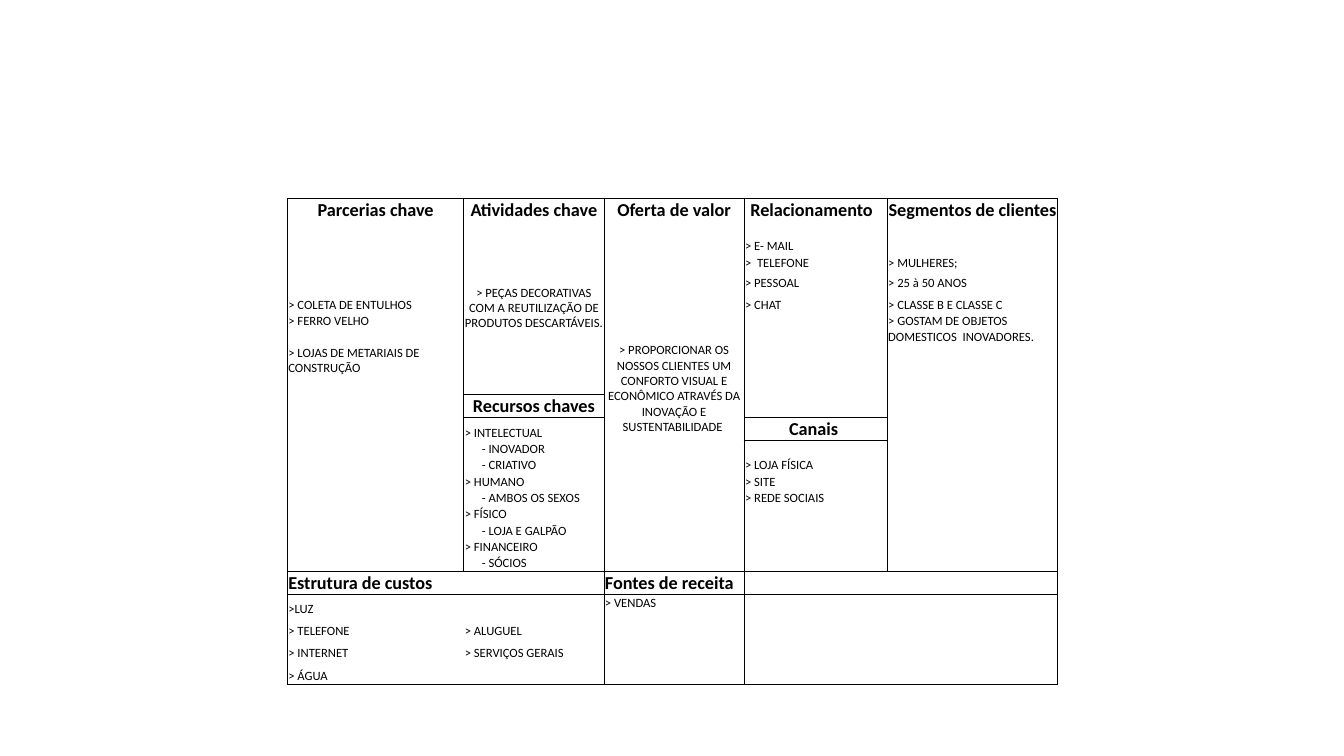
import pptx
import pptx.util
import pptx.dml.color
import pptx.enum.text
import lxml.etree

Inches, Pt = pptx.util.Inches, pptx.util.Pt
ALIGN, ANCHOR = pptx.enum.text.PP_ALIGN, pptx.enum.text.MSO_ANCHOR
COLORS = {"ink": "000000"}
FONT = "Calibri"
NO_GRID = "{2D5ABB26-0587-4C30-8999-92F81FD0307C}"

prs = pptx.Presentation()
prs.slide_width, prs.slide_height = Inches(13.33), Inches(7.5)
s = prs.slides.add_slide(prs.slide_layouts[6])

# Grid of the canvas, in inches
cols = [1.75, 1.39, 1.39, 1.42, 1.69]
rows = [0.23, 0.16, 0.16, 0.2, 0.22, 0.16, 0.29, 0.33, 0.16, 0.23, 0.22] + [0.16] * 8 + [0.22] * 4 + [0.23]

# Blocks: first row, first column, last row, last column
blocks = [(0, 0, 18, 0), (0, 1, 8, 1), (9, 1, 18, 1), (0, 2, 18, 2), (0, 3, 9, 3),
          (10, 3, 18, 3), (0, 4, 18, 4), (19, 0, 23, 1), (19, 2, 23, 4)]

headings = {
    (0, 0): "Parcerias chave", (0, 1): "Atividades chave", (0, 2): "Oferta de valor",
    (0, 3): "Relacionamento  ", (0, 4): "Segmentos de clientes", (9, 1): "Recursos chaves",
    (10, 3): "Canais ", (19, 0): "Estrutura de custos", (19, 2): "Fontes de receita",
}

# Merged cells: start -> last row and text
merged = {
    (1, 1): (8, "> PEÇAS DECORATIVAS COM A REUTILIZAÇÃO DE PRODUTOS DESCARTÁVEIS."),
    (1, 2): (17, "> PROPORCIONAR OS NOSSOS CLIENTES UM CONFORTO VISUAL E ECONÔMICO "
                 "ATRAVÉS DA INOVAÇÃO E SUSTENTABILIDADE "),
}

# Lists: start cell -> one entry per row downwards
lists = {
    (5, 0): ["> COLETA DE ENTULHOS", "> FERRO VELHO", "> LOJAS DE METARIAIS DE CONSTRUÇÃO"],
    (10, 1): ["> INTELECTUAL", "      - INOVADOR", "      - CRIATIVO", "> HUMANO",
              "      - AMBOS OS SEXOS", "> FÍSICO", "      - LOJA E GALPÃO",
              "> FINANCEIRO", "      - SÓCIOS"],
    (2, 3): ["> E- MAIL", ">  TELEFONE", "> PESSOAL", "> CHAT"],
    (12, 3): ["> LOJA FÍSICA", "> SITE", "> REDE SOCIAIS"],
    (3, 4): ["> MULHERES;", "> 25 à 50 ANOS", "> CLASSE B E CLASSE C",
             "> GOSTAM DE OBJETOS DOMESTICOS  INOVADORES."],
    (20, 0): [">LUZ", "> TELEFONE ", "> INTERNET", "> ÁGUA"],
    (21, 1): ["> ALUGUEL ", "> SERVIÇOS GERAIS"],
    (20, 2): ["> VENDAS"],
}
items = {(r + i, c): t for (r, c), ts in lists.items() for i, t in enumerate(ts)}

# Table
frame = s.shapes.add_table(len(rows), len(cols), Inches(2.85), Inches(1.97),
                           Inches(sum(cols)), Inches(sum(rows)))
table = frame.table
table.first_row = table.horz_banding = False
table._tbl.tblPr.find(pptx.oxml.ns.qn("a:tableStyleId")).text = NO_GRID
for i, w in enumerate(cols):
    table.columns[i].width = Inches(w)
for i, h in enumerate(rows):
    table.rows[i].height = Inches(h)


def add_border(cell, side):
    ln = lxml.etree.SubElement(cell._tc.get_or_add_tcPr(), pptx.oxml.ns.qn("a:ln" + side), w=str(Pt(0.5)))
    fill = lxml.etree.SubElement(ln, pptx.oxml.ns.qn("a:solidFill"))
    lxml.etree.SubElement(fill, pptx.oxml.ns.qn("a:srgbClr"), val=COLORS["ink"])


def set_text(cell, text, size, bold, align, anchor):
    cell.text_frame.text = text
    cell.vertical_anchor = anchor
    p = cell.text_frame.paragraphs[0]
    p.alignment = align
    font = p.runs[0].font
    font.name, font.size, font.bold = FONT, Pt(size), bold
    font.color.rgb = pptx.dml.color.RGBColor.from_string(COLORS["ink"])


# Block outlines and cell margins; small type keeps the empty rows low
for top, left, bottom, right in blocks:
    for r in range(top, bottom + 1):
        for c in range(left, right + 1):
            cell = table.cell(r, c)
            edges = {"L": c == left, "R": c == right, "T": r == top, "B": r == bottom}
            for side, on_edge in edges.items():
                if on_edge:
                    add_border(cell, side)
            cell.fill.background()
            cell.margin_left = cell.margin_right = cell.margin_top = Inches(0.01)
            cell.margin_bottom = 0
            cell.text_frame.paragraphs[0]._p.get_or_add_endParaRPr().set("sz", "600")

# Headings
for (r, c), text in headings.items():
    align = ALIGN.LEFT if r == 19 else ALIGN.CENTER
    anchor = ANCHOR.TOP if (r, c) == (19, 2) else ANCHOR.BOTTOM
    set_text(table.cell(r, c), text, 13, True, align, anchor)

# Merged statements
for (r, c), (last, text) in merged.items():
    table.cell(r, c).merge(table.cell(last, c))
    set_text(table.cell(r, c), text, 9, False, ALIGN.CENTER, ANCHOR.MIDDLE)
add_border_cell = table.cell(1, 1)
add_border_cell._tc.tcPr.remove(add_border_cell._tc.tcPr[-1])
add_border(add_border_cell, "B")
add_border_cell.fill.background()

# List entries
for (r, c), text in items.items():
    low = c == 1 or (c == 0 and r > 19)
    set_text(table.cell(r, c), text, 9, False, ALIGN.LEFT, ANCHOR.BOTTOM if low else ANCHOR.TOP)

prs.save("out.pptx")
